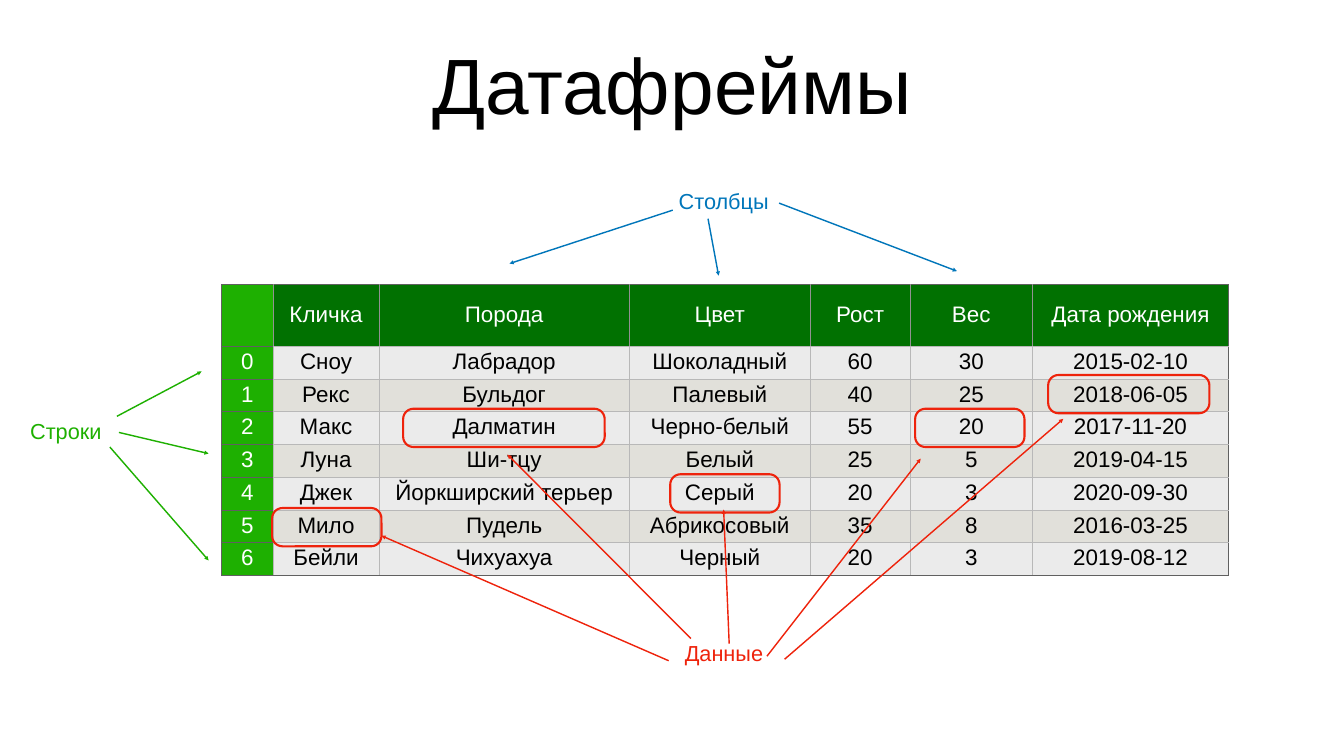
from lxml.etree import SubElement
from pptx import Presentation
from pptx.dml.color import RGBColor
from pptx.enum.shapes import MSO_CONNECTOR, MSO_SHAPE
from pptx.enum.text import MSO_ANCHOR, MSO_AUTO_SIZE, PP_ALIGN
from pptx.oxml.ns import qn
from pptx.util import Inches, Pt

BLACK = RGBColor(0x00, 0x00, 0x00)
WHITE = RGBColor(0xFF, 0xFF, 0xFF)
RED = RGBColor(0xEE, 0x23, 0x0C)
GREEN = RGBColor(0x1E, 0xB0, 0x01)
DARK_GREEN = RGBColor(0x01, 0x71, 0x01)
BLUE = RGBColor(0x00, 0x76, 0xBA)
BAND_LIGHT = RGBColor(0xEB, 0xEB, 0xEB)
BAND_DARK = RGBColor(0xE1, 0xE0, 0xDA)
EDGE = RGBColor(0x60, 0x60, 0x60)
HEADER_EDGE = RGBColor(0x92, 0x92, 0x92)
GRID = RGBColor(0xB8, 0xB8, 0xB8)

COL_WIDTHS = [1.02, 2.1, 4.97, 3.59, 1.98, 2.43, 3.89]
HEADER_HEIGHT, ROW_HEIGHT = 1.22, 0.65
ROWS = [
    ["", "Кличка", "Порода", "Цвет", "Рост", "Вес", "Дата рождения"],
    ["0", "Сноу", "Лабрадор", "Шоколадный", "60", "30", "2015-02-10"],
    ["1", "Рекс", "Бульдог", "Палевый", "40", "25", "2018-06-05"],
    ["2", "Макс", "Далматин", "Черно-белый", "55", "20", "2017-11-20"],
    ["3", "Луна", "Ши-тцу", "Белый", "25", "5", "2019-04-15"],
    ["4", "Джек", "Йоркширский терьер", "Серый", "20", "3", "2020-09-30"],
    ["5", "Мило", "Пудель", "Абрикосовый", "35", "8", "2016-03-25"],
    ["6", "Бейли", "Чихуахуа", "Черный", "20", "3", "2019-08-12"],
]

# Left, top, width of each highlighted value
HIGHLIGHTS = [(13.3, 9.41, 2.17), (8, 8.11, 4), (18.16, 8.11, 2.17),
              (5.4, 10.08, 2.17), (20.8, 7.44, 3.2)]

# Label, box, colour, arrows as (start, end)
CALLOUTS = [
    ("Данные", (13.52, 12.64, 1.69, 0.63), RED, [
        ((13.27, 13.11), (7.57, 10.63)), ((13.71, 12.67), (10.07, 9.02)),
        ((14.47, 12.77), (14.36, 10.11)), ((15.22, 13.02), (18.27, 9.1)),
        ((15.57, 13.08), (21.1, 8.31))]),
    ("Строки", (0.5, 8.23, 1.61, 0.63), GREEN, [
        ((2.32, 8.26), (4, 7.37)), ((2.36, 8.58), (4.14, 9)),
        ((2.18, 8.87), (4.14, 11.12))]),
    ("Столбцы", (13.4, 3.67, 1.92, 0.63), BLUE, [
        ((13.35, 4.17), (10.11, 5.23)), ((14.05, 4.34), (14.26, 5.47)),
        ((15.46, 4.03), (18.99, 5.38))]),
]


def write(tf, text, size=32, color=BLACK, spacing=None):
    tf.margin_left = tf.margin_right = Inches(0.06)
    tf.margin_top = tf.margin_bottom = Inches(0.06)
    tf.vertical_anchor = MSO_ANCHOR.MIDDLE
    p = tf.paragraphs[0]
    p.alignment = PP_ALIGN.CENTER
    p.line_spacing = spacing
    r = p.add_run()
    r.text = text
    r.font.name, r.font.size, r.font.bold = "Arial", Pt(size), False
    r.font.color.rgb = color


def set_borders(cell, **colors):
    tc_pr = cell._tc.get_or_add_tcPr()
    for side in "LRTB":
        ln = SubElement(tc_pr, qn(f"a:ln{side}"), w=str(Pt(1)))
        fill = SubElement(ln, qn("a:solidFill"))
        SubElement(fill, qn("a:srgbClr"), val=str(colors[side]))


def cell_style(row, col):
    """Return fill, text colour and border colours for a table cell."""
    if row == 0:
        return (DARK_GREEN if col else GREEN), WHITE, {
            "L": HEADER_EDGE if col else EDGE, "T": EDGE, "B": EDGE,
            "R": EDGE if col == len(COL_WIDTHS) - 1 else HEADER_EDGE}
    if col == 0:
        return GREEN, WHITE, dict.fromkeys("LRTB", EDGE)
    return (BAND_LIGHT if row % 2 else BAND_DARK), BLACK, {
        "L": GRID, "T": GRID,
        "R": EDGE if col == len(COL_WIDTHS) - 1 else GRID,
        "B": EDGE if row == len(ROWS) - 1 else GRID}


class SlideBuilder:
    def __init__(self, prs):
        self.s = prs.slides.add_slide(prs.slide_layouts[5])

    def title(self, text, *box):
        sp = self.s.shapes.title
        sp.left, sp.top, sp.width, sp.height = map(Inches, box)
        sp.text_frame.auto_size = MSO_AUTO_SIZE.NONE
        write(sp.text_frame, text, size=112)

    def table(self, left, top):
        height = HEADER_HEIGHT + ROW_HEIGHT * (len(ROWS) - 1)
        table = self.s.shapes.add_table(
            len(ROWS), len(COL_WIDTHS), Inches(left), Inches(top),
            Inches(sum(COL_WIDTHS)), Inches(height)).table
        table.first_row = table.horz_banding = False
        for column, width in zip(table.columns, COL_WIDTHS):
            column.width = Inches(width)
        for i, values in enumerate(ROWS):
            table.rows[i].height = Inches(ROW_HEIGHT if i else HEADER_HEIGHT)
            for j, value in enumerate(values):
                cell = table.cell(i, j)
                fill, color, borders = cell_style(i, j)
                set_borders(cell, **borders)
                cell.fill.solid()
                cell.fill.fore_color.rgb = fill
                cell.margin_left = cell.margin_right = Inches(0.06)
                cell.margin_top = cell.margin_bottom = Inches(0.06)
                if value:
                    write(cell.text_frame, value, color=color, spacing=0.9)
                cell.vertical_anchor = MSO_ANCHOR.MIDDLE

    def highlight(self, left, top, width):
        sp = self.s.shapes.add_shape(
            MSO_SHAPE.ROUNDED_RECTANGLE, Inches(left), Inches(top),
            Inches(width), Inches(0.76))
        sp.adjustments[0] = 0.27
        sp.shadow.inherit = False
        sp.fill.background()
        sp.line.color.rgb, sp.line.width = RED, Pt(3)

    def label(self, text, box, color):
        tf = self.s.shapes.add_textbox(*map(Inches, box)).text_frame
        tf.word_wrap = False
        tf.auto_size = MSO_AUTO_SIZE.SHAPE_TO_FIT_TEXT
        write(tf, text, size=31, color=color)

    def arrow(self, start, end, color):
        line = self.s.shapes.add_connector(
            MSO_CONNECTOR.STRAIGHT, *map(Inches, start + end))
        line.line.color.rgb, line.line.width = color, Pt(2)
        SubElement(line.line._get_or_add_ln(), qn("a:tailEnd"), type="triangle")
        SubElement(line._element.spPr, qn("a:effectLst"))


def main():
    prs = Presentation()
    prs.slide_width, prs.slide_height = Inches(26.67), Inches(15)
    slide = SlideBuilder(prs)

    # Title and data frame
    slide.title("Датафреймы", 1.85, 0.39, 22.97, 2.5)
    slide.table(4.4, 5.65)

    # Highlighted values
    for spot in HIGHLIGHTS:
        slide.highlight(*spot)

    # Labels with their arrows
    for text, box, color, arrows in CALLOUTS:
        slide.label(text, box, color)
        for start, end in arrows:
            slide.arrow(start, end, color)

    prs.save("out.pptx")


if __name__ == "__main__":
    main()
